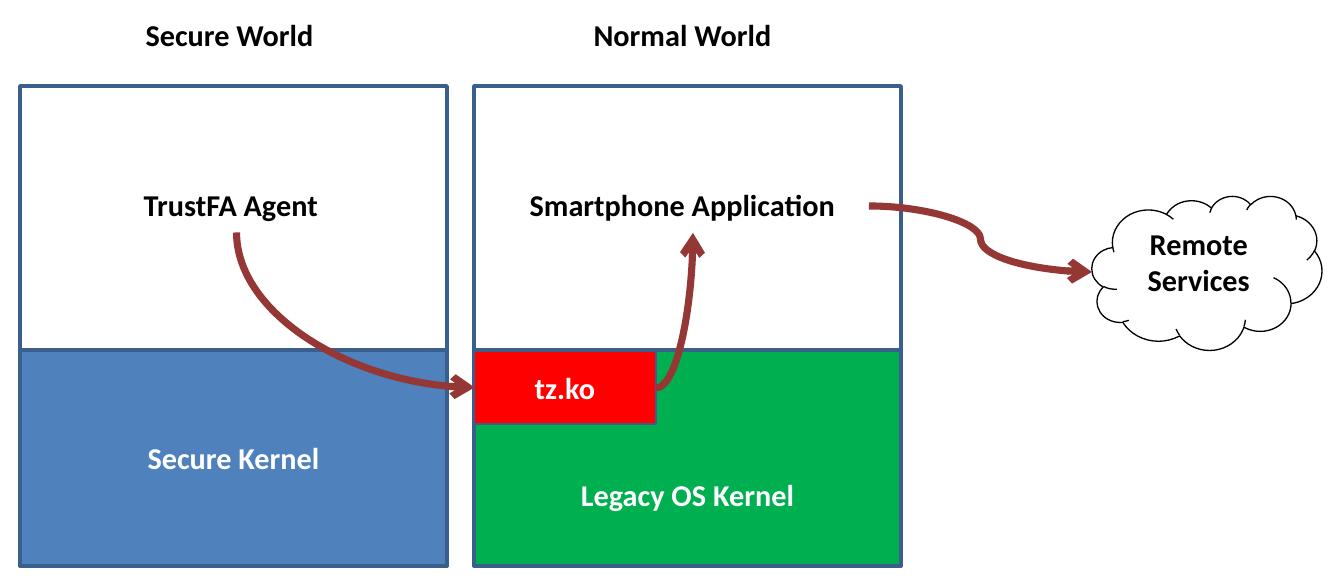
from lxml.etree import SubElement
from pptx import Presentation
from pptx.dml.color import RGBColor
from pptx.enum.shapes import MSO_CONNECTOR, MSO_SHAPE
from pptx.enum.text import MSO_ANCHOR, MSO_AUTO_SIZE, PP_ALIGN
from pptx.oxml.ns import qn
from pptx.util import Emu, Pt

PX = 914400 / 128
BLACK = RGBColor(0x00, 0x00, 0x00)
WHITE = RGBColor(0xFF, 0xFF, 0xFF)
BLUE = RGBColor(0x4F, 0x81, 0xBD)
BORDER = RGBColor(0x3A, 0x5F, 0x8C)
GREEN = RGBColor(0x00, 0xB0, 0x50)
RED = RGBColor(0xFF, 0x00, 0x00)
ARROW = RGBColor(0x95, 0x37, 0x35)


def px(*lengths):
    return [Emu(round(length * PX)) for length in lengths]


def add_text(shape, text, color, alignment):
    paragraph = shape.text_frame.paragraphs[0]
    paragraph.alignment = alignment
    run = paragraph.add_run()
    run.text = text
    run.font.name = "Calibri"
    run.font.size = Pt(17)
    run.font.bold = True
    run.font.color.rgb = color


presentation = Presentation()
presentation.slide_width, presentation.slide_height = px(1344, 576)
slide = presentation.slides.add_slide(presentation.slide_layouts[6])

secure_left, normal_left = 20, 474
world_top, world_width, world_height = 86, 427, 480
kernel_top, kernel_height = 350, 216
middle, top = MSO_ANCHOR.MIDDLE, MSO_ANCHOR.TOP
rectangle, cloud = MSO_SHAPE.RECTANGLE, MSO_SHAPE.CLOUD

secure_kernel = (secure_left, kernel_top, world_width, kernel_height)
secure_world = (secure_left, world_top, world_width, world_height)
normal_world = (normal_left, world_top, world_width, world_height)
legacy_kernel = (normal_left, kernel_top, world_width, kernel_height)
shapes = [
    (rectangle, secure_kernel, BLUE, BORDER, 2, "Secure Kernel", WHITE, middle, 6),
    (rectangle, secure_world, None, BORDER, 2, "", BLACK, middle, 6),
    (rectangle, normal_world, None, BORDER, 2, "", BLACK, middle, 6),
    (rectangle, legacy_kernel, GREEN, BORDER, 2, "Legacy OS Kernel", WHITE, middle, 79),
    (cloud, (1092, 196, 230, 154), None, BLACK, 0.75, "Remote Services", BLACK, top, 6),
    (rectangle, (normal_left, 351, 182, 73), RED, BORDER, 1, "tz.ko", WHITE, middle, 6),
]
for kind, box, fill, line, width, text, color, anchor, inset in shapes:
    shape = slide.shapes.add_shape(kind, *px(*box))
    shape.shadow.inherit = False
    if fill is None:
        shape.fill.background()
    else:
        shape.fill.solid()
        shape.fill.fore_color.rgb = fill
    shape.line.color.rgb = line
    shape.line.width = Pt(width)
    if text:
        shape.text_frame.word_wrap = True
        shape.text_frame.vertical_anchor = anchor
        shape.text_frame.margin_top = px(inset)[0]
        add_text(shape, text, color, PP_ALIGN.CENTER)

labels = [
    ("Secure World", 133, 10, 205),
    ("Normal World", 581, 10, 215),
    ("TrustFA Agent", 131, 180, 211),
    ("Smartphone Application", 517, 180, 351),
]
for text, left, label_top, width in labels:
    label = slide.shapes.add_textbox(*px(left, label_top, width, 51))
    label.text_frame.word_wrap = False
    label.text_frame.auto_size = MSO_AUTO_SIZE.SHAPE_TO_FIT_TEXT
    add_text(label, text, BLACK, PP_ALIGN.LEFT)

arrows = [
    ("curvedConnector2", (433, 191, 278, 429), 270),
    ("curvedConnector2", (656, 388, 693, 233), 0),
    ("curvedConnector3", (869, 206, 1092, 272), 0),
]
for preset, ends, rotation in arrows:
    arrow = slide.shapes.add_connector(MSO_CONNECTOR.CURVE, *px(*ends))
    arrow.line.color.rgb = ARROW
    arrow.line.width = Pt(4)
    properties = arrow._element.spPr
    properties.find(qn("a:prstGeom")).set("prst", preset)
    if rotation:
        properties.find(qn("a:xfrm")).set("rot", str(rotation * 60000))
    SubElement(properties.find(qn("a:ln")), qn("a:tailEnd"), type="arrow")
    SubElement(properties, qn("a:effectLst"))

presentation.save("out.pptx")
